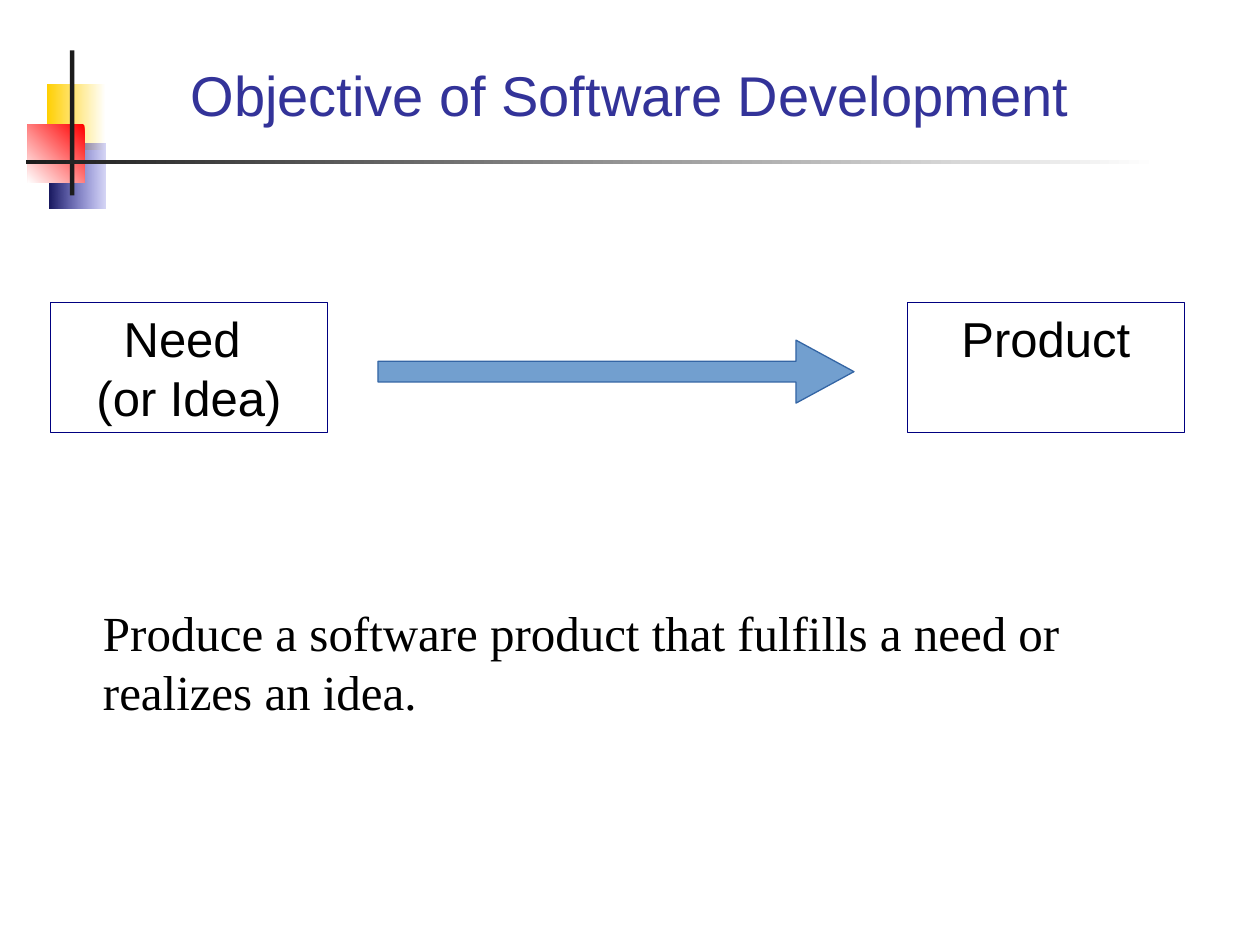
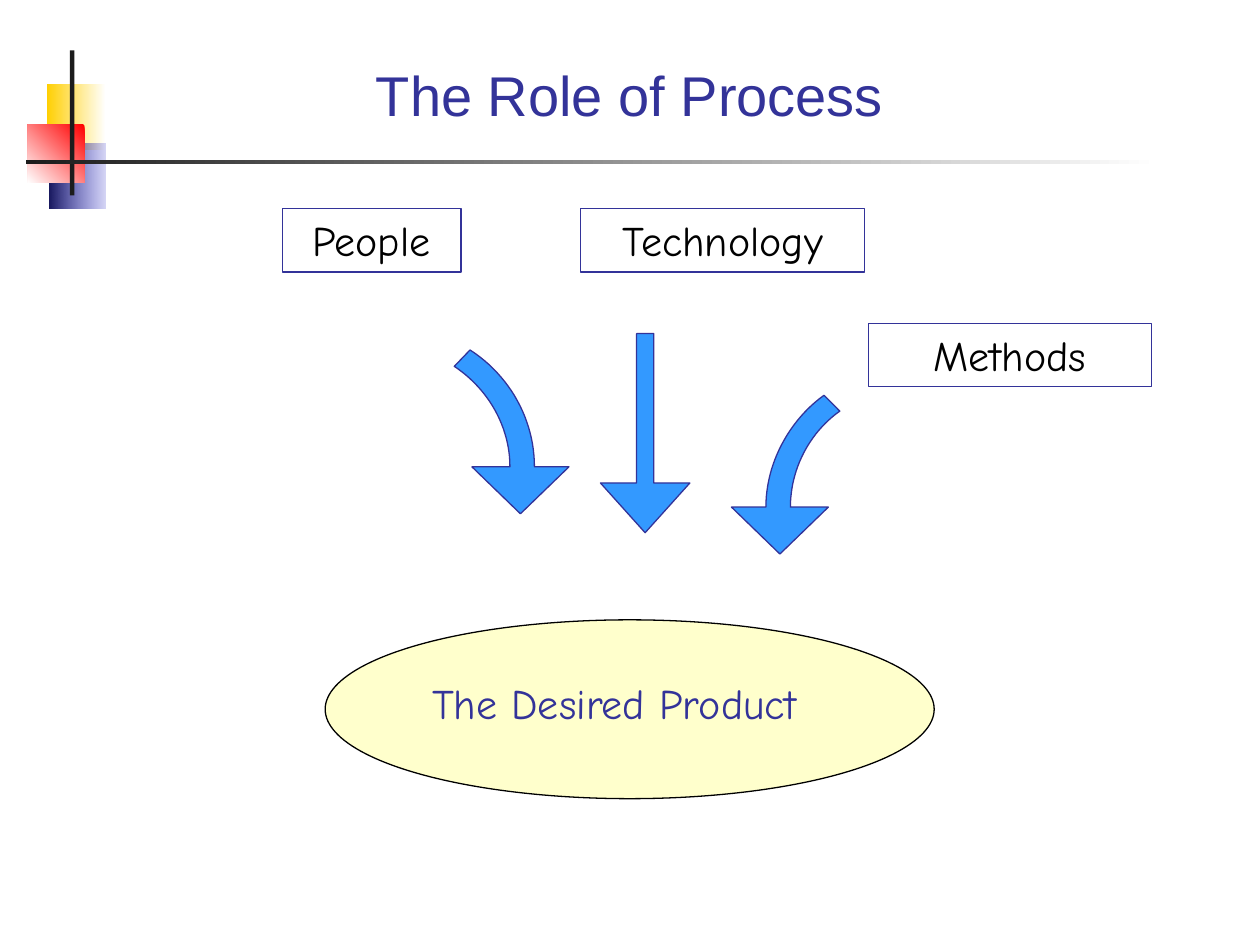
from dataclasses import dataclass

from lxml import etree
from pptx import Presentation
from pptx import util as u
from pptx.dml.color import RGBColor
from pptx.enum import shapes, text
from pptx.oxml.ns import qn


@dataclass(frozen=True)
class Theme:
    """Colours, fonts and type sizes shared by the slides."""
    indigo: str = "333399"
    navy: str = "000080"
    ink: str = "000000"
    rule: str = "1C1C1C"
    white: str = "FFFFFF"
    yellow: str = "FFCF01"
    red: str = "FF0000"
    violet: str = "3333CC"
    midnight: str = "17175E"
    steel: str = "729FCF"
    steel_edge: str = "3465A4"
    sky: str = "3399FF"
    cream: str = "FFFFCC"
    sans: str = "Arial"
    serif: str = "Times New Roman"
    casual: str = "Comic Neue"
    title: float = 32
    body: float = 28
    label: float = 24
    line: float = 0.75


T = Theme()
KIND = shapes.MSO_SHAPE
CENTER = text.PP_ALIGN.CENTER


def pts(box):
    """Turn a box of points into lengths."""
    return [u.Pt(v) for v in box]


def inside(box, left, top, width, height):
    """Return a box offset from the corner of another box."""
    return box[0] + left, box[1] + top, width, height


def paint(sp, fill=None, line=None):
    """Set the fill and outline of a shape and drop its shadow."""
    sp.shadow.inherit = False
    if fill:
        sp.fill.solid()
        sp.fill.fore_color.rgb = RGBColor.from_string(fill)
    else:
        sp.fill.background()
    if line:
        sp.line.color.rgb = RGBColor.from_string(line)
        sp.line.width = u.Pt(T.line)
    else:
        sp.line.fill.background()


def fade(sp, start, end, angle=180, opacity=None):
    """Give a shape a two-colour gradient, optionally with a sheer start."""
    sp.fill.gradient()
    sp.fill.gradient_angle = angle
    for stop, color in zip(sp.fill.gradient_stops, (start, end)):
        stop.color.rgb = RGBColor.from_string(color)
    if opacity:
        clr = sp._element.spPr.find(".//" + qn("a:srgbClr"))
        etree.SubElement(clr, qn("a:alpha")).set("val", str(opacity * 1000))


def add_shape(s, kind, box, fill=None, line=None, adjust=()):
    """Add a preset shape."""
    sp = s.shapes.add_shape(kind, *pts(box))
    paint(sp, fill, line)
    for i, value in enumerate(adjust):
        sp.adjustments[i] = value
    return sp


def write(sp, words, font, size, color, align=None, anchor=text.MSO_ANCHOR.TOP):
    """Write one formatted paragraph into a shape."""
    tf = sp.text_frame
    tf.word_wrap = True
    tf.vertical_anchor = anchor
    tf.text = words
    p = tf.paragraphs[0]
    p.alignment = align or text.PP_ALIGN.LEFT
    for r in p.runs:
        r.font.name = font
        r.font.size = u.Pt(size)
        r.font.color.rgb = RGBColor.from_string(color)


def add_text(s, box, *args, **kwargs):
    """Add a text box."""
    write(s.shapes.add_textbox(*pts(box)), *args, **kwargs)


def add_label(s, box, words, font, size, line):
    """Add an outlined box with centred text."""
    write(add_shape(s, KIND.RECTANGLE, box, line=line), words, font, size, T.ink, CENTER)


def ornament(s, box):
    """Draw the overlapping squares and the crossed rules."""
    squares = [
        ((11.6, 19.4, 33.8, 37.4), (T.white, T.yellow)),
        ((13, 53.2, 32.4, 37.4), (T.violet, T.midnight, 180, 20)),
        ((0.7, 42.4, 32.4, 33.2), (T.red, T.white, 225)),
    ]
    for place, colors in squares:
        fade(add_shape(s, KIND.RECTANGLE, inside(box, *place)), *colors)
    add_shape(s, KIND.RECTANGLE, inside(box, 24.9, 0, 2.5, 82.8), T.rule)
    rule = add_shape(s, KIND.RECTANGLE, inside(box, 0, 62.4, box[2], 2.3))
    fade(rule, T.white, T.rule)


def titled_slide(prs, title):
    """Start a slide with the shared ornament and title."""
    s = prs.slides.add_slide(prs.slide_layouts[6])
    ornament(s, (15.1, 28.8, 647.3, 90.6))
    add_text(s, (48.2, 20.2, 623.5, 67.7), title, T.sans, T.title, T.indigo,
             align=CENTER, anchor=text.MSO_ANCHOR.MIDDLE)
    return s


def need_to_product(s, box):
    """Place two labelled boxes at the ends of the box, joined by an arrow."""
    width, gap, arrow_height = 158.4, 28.8, 36
    for left, words in ((0, "Need \v(or Idea)"), (box[2] - width, "Product")):
        add_label(s, inside(box, left, 0, width, box[3]), words, T.sans, T.body, T.navy)
    arrow = inside(box, width + gap, 21.6, box[2] - 2 * width - 2 * gap - 1.6, arrow_height)
    add_shape(s, KIND.RIGHT_ARROW, arrow, T.steel, T.steel_edge, (0.327, 0.92))


def bezier(a, b, c, d, steps=24):
    """Return points along a cubic curve."""
    def at(t):
        k = 1 - t
        weights = (k ** 3, 3 * k * k * t, 3 * k * t * t, t ** 3)
        return tuple(sum(w * q[i] for w, q in zip(weights, (a, b, c, d))) for i in (0, 1))
    return [at(n / steps) for n in range(steps + 1)]


def curved_arrow(s, box, side):
    """Draw a bent down arrow whose tail leans left (-1) or right (1)."""
    left, top, width, height = box
    half, neck = 27.7, height - 26.8
    reach = width - half
    inner = bezier((6, neck), (6, 0.47 * height), (0.48 * reach, 0.24 * height),
                   (reach, 0.1 * height))
    outer = bezier((reach - 9, 0), (0.15 * reach, 0.16 * height), (-8, 0.43 * height),
                   (-8, neck))
    outline = inner + outer + [(-half, neck), (0, height), (half, neck)]
    tip = left + (half if side > 0 else reach)
    points = [(u.Pt(tip + side * x), u.Pt(top + y)) for x, y in outline]
    fb = s.shapes.build_freeform(*points[0])
    fb.add_line_segments(points[1:], close=True)
    paint(fb.convert_to_shape(), T.sky, T.indigo)


def inputs(s, box):
    """Place the three labelled inputs of the process."""
    height = 36.3
    for left, top, width, words in ((0, 0, 102.2, "People"),
                                    (170.6, 0, 162, "Technology"),
                                    (334.8, 65.5, 162, "Methods")):
        add_label(s, inside(box, left, top, width, height), words, T.casual, T.label, T.indigo)


def arrows(s, box):
    """Place the three arrows that lead to the product."""
    curved_arrow(s, inside(box, 0, 9.4, 65.5, 93.6), -1)
    curved_arrow(s, inside(box, 158.4, 35.3, 61.9, 90.7), 1)
    add_shape(s, KIND.DOWN_ARROW, inside(box, 83.5, 0, 51.1, 113.8),
              T.sky, T.indigo, (0.191, 0.556))


def desired_product(s, box):
    """Place the oval and its caption."""
    add_shape(s, KIND.OVAL, box, T.cream, T.ink)
    add_text(s, inside(box, 54, 29.5, 270, 36), "The Desired Product",
             T.casual, T.label, T.indigo)


def objective_slide(prs):
    """Build the slide on the objective of development."""
    s = titled_slide(prs, "Objective of Software Development")
    need_to_product(s, (28.8, 172.8, 648, 74.2))
    add_text(s, (51.8, 340.6, 619.2, 74.2),
             "Produce a software product that fulfills a need or realizes an idea.",
             T.serif, T.body, T.ink)


def process_slide(prs):
    """Build the slide on the role of process."""
    s = titled_slide(prs, "The Role of Process")
    desired_product(s, (185.8, 354.2, 348, 102.2))
    inputs(s, (161.3, 119.2, 496.8, 101.8))
    arrows(s, (259.6, 190.6, 220.3, 126))


def main():
    """Build and save the presentation."""
    prs = Presentation()
    prs.slide_width, prs.slide_height = u.Pt(720), u.Pt(540)
    objective_slide(prs)
    process_slide(prs)
    prs.save("out.pptx")


if __name__ == "__main__":
    main()
